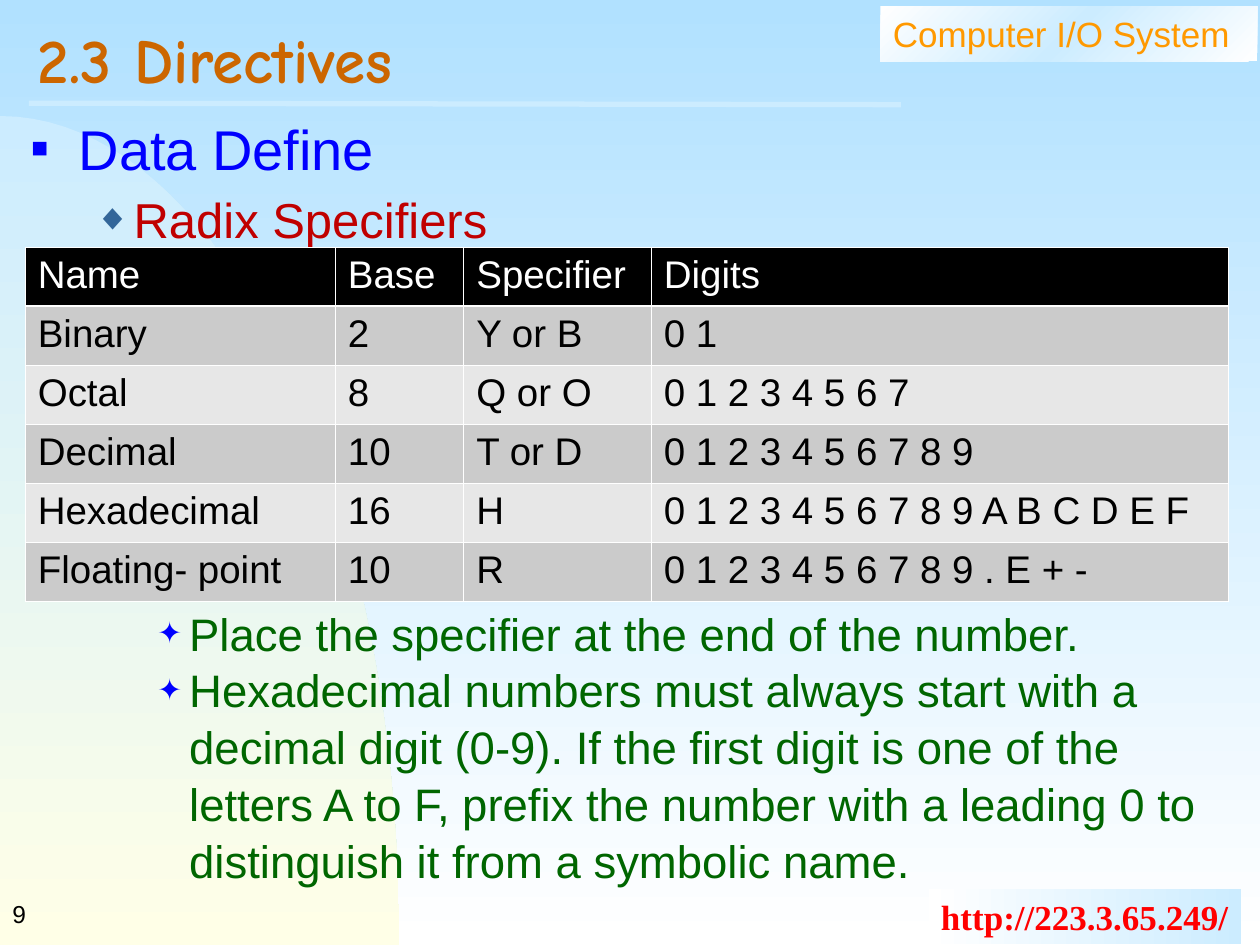
import pptx
import pptx.dml.color
import pptx.enum.shapes
import pptx.enum.text
import pptx.oxml.ns
import pptx.util
from lxml import etree

Cm, Pt = pptx.util.Cm, pptx.util.Pt
qn = pptx.oxml.ns.qn
Anchor = pptx.enum.text.MSO_ANCHOR

HUES = {
    "sky": "B1E1FF", "white": "FFFFFF", "ice": "CCECFF", "cream": "FFFFE7",
    "orange": "FF9900", "rust": "CC6600", "red": "FF0000", "wine": "C00000",
    "blue": "0000FF", "steel": "336699", "green": "006600", "black": "000000",
    "dark": "CBCBCB", "light": "E7E7E7",
}
TITLE = "2.3 Directives"
COURSE = "Computer I/O System"
LINK = "http://223.3.65.249/"
PAGE = "9"
# level, text, size, hue, space before in points
POINTS = [
    (0, "Data Define", 32, "blue", 0),
    (1, "Radix Specifiers", 28, "wine", 3),
    (2, "Place the specifier at the end of the number.", 26, "green", 203),
    (2, "Hexadecimal numbers must always start with a decimal digit (0-9). "
        "If the first digit is one of the letters A to F, prefix the number "
        "with a leading 0 to distinguish it from a symbolic name.", 26, "green", 0),
]
# sign, hue, size in percent, left margin and hang in cm
MARKS = [
    ("■", "blue", 50, 0.95, 0.95),
    ("◆", "steel", 75, 2.06, 0.79),
    ("✦", "blue", 65, 3.18, 0.64),
]
ROWS = [
    ("Name", "Base", "Specifier", "Digits"),
    ("Binary", "2", "Y or B", "0 1"),
    ("Octal", "8", "Q or O", "0 1 2 3 4 5 6 7"),
    ("Decimal", "10", "T or D", "0 1 2 3 4 5 6 7 8 9"),
    ("Hexadecimal", "16", "H", "0 1 2 3 4 5 6 7 8 9 A B C D E F"),
    ("Floating- point", "10", "R", "0 1 2 3 4 5 6 7 8 9 . E + -"),
]
WIDTHS = [6.25, 2.59, 3.78, 11.63]
ROW_HIGH = 1.19


def tint(name):
    return pptx.dml.color.RGBColor.from_string(HUES[name])


def add(parent, tag, **attrs):
    return etree.SubElement(parent, qn(tag), **attrs)


def blend(fill, root, names, angle):
    """Fill with evenly spaced colours; the angle runs clockwise."""
    fill.gradient()
    fill.gradient_angle = -angle % 360
    stops = root.find(".//" + qn("a:gsLst"))
    for stop in list(stops):
        stops.remove(stop)
    for i, name in enumerate(names):
        stop = add(stops, "a:gs", pos=str(100000 * i // (len(names) - 1)))
        add(stop, "a:srgbClr", val=HUES[name])


def style(para, size, hue, face="Arial", bold=False):
    font = para.font
    font.size, font.name, font.bold = Pt(size), face, bold
    font.color.rgb = tint(hue)


def place(shape, left, top, width, height):
    shape.left, shape.top = Cm(left), Cm(top)
    shape.width, shape.height = Cm(width), Cm(height)


def write(shape, text, size, hue, face="Arial", bold=False, wrap=True,
          anchor=Anchor.TOP):
    frame = shape.text_frame
    frame.text = text
    frame.word_wrap = wrap
    frame.auto_size = pptx.enum.text.MSO_AUTO_SIZE.NONE
    frame.vertical_anchor = anchor
    para = frame.paragraphs[0]
    para.alignment = pptx.enum.text.PP_ALIGN.LEFT
    style(para, size, hue, face, bold)
    return para


def draw_hill(shapes):
    """Draw the curved corner as a sampled cubic curve."""
    curve = [(0, 2.34), (4.45, 2.34), (8.05, 9.83), (8.05, 19.05)]
    steps = 40
    spots = []
    for i in range(1, steps + 1):
        t = i / steps
        parts = [(1 - t) ** 3, 3 * t * (1 - t) ** 2, 3 * t * t * (1 - t), t ** 3]
        spots.append(tuple(Cm(sum(p * c[k] for p, c in zip(parts, curve)))
                           for k in (0, 1)))
    pen = shapes.build_freeform(Cm(0), Cm(2.34))
    pen.add_line_segments(spots + [(Cm(0), Cm(19.05))], close=True)
    hill = pen.convert_to_shape()
    hill.shadow.inherit = False
    hill.line.fill.background()
    blend(hill.fill, hill._element, ["ice", "cream"], 90)


def draw_band(shapes, spot, names, angle):
    band = shapes.add_shape(pptx.enum.shapes.MSO_SHAPE.RECTANGLE,
                            *map(Cm, spot))
    band.shadow.inherit = False
    band.line.fill.background()
    blend(band.fill, band._element, names, angle)
    return band


def draw_rule(shapes):
    rule = shapes.add_connector(pptx.enum.shapes.MSO_CONNECTOR.STRAIGHT,
                                Cm(0.58), Cm(2.08), Cm(18.16), Cm(2.11))
    rule.line.color.rgb = tint("ice")
    rule.line.width = Pt(3)
    add(rule._element.spPr, "a:effectLst")


def fill_list(body):
    frame = body.text_frame
    frame.auto_size = pptx.enum.text.MSO_AUTO_SIZE.NONE
    frame.vertical_anchor = Anchor.TOP
    for i, (level, text, size, hue, gap) in enumerate(POINTS):
        para = frame.add_paragraph() if i else frame.paragraphs[0]
        para.text, para.level = text, level
        para.space_before, para.space_after = Pt(gap), Pt(0)
        para.line_spacing = 1.04
        sign, ink, share, left, hang = MARKS[level]
        props = para._p.get_or_add_pPr()
        props.set("marL", str(Cm(left)))
        props.set("indent", str(-Cm(hang)))
        add(add(props, "a:buClr"), "a:srgbClr", val=HUES[ink])
        add(props, "a:buSzPct", val=str(share * 1000))
        add(props, "a:buFont", typeface="Arial")
        add(props, "a:buChar", char=sign)
        style(para, size, hue)


def edge(cell, row):
    """Give a cell white borders, thick between the head and the first row."""
    props = cell._tc.get_or_add_tcPr()
    thick = {0: "a:lnB", 1: "a:lnT"}.get(row)
    for tag in ("a:lnL", "a:lnR", "a:lnT", "a:lnB"):
        line = add(props, tag, w=str(Pt(1.47 if tag == thick else 0.45)))
        add(add(line, "a:solidFill"), "a:srgbClr", val=HUES["white"])


def draw_table(shapes):
    frame = shapes.add_table(len(ROWS), len(WIDTHS), Cm(0.51), Cm(4.98),
                             Cm(sum(WIDTHS)), Cm(ROW_HIGH * len(ROWS)))
    table = frame.table
    table.first_row = table.horz_banding = False
    for col, width in zip(table.columns, WIDTHS):
        col.width = Cm(width)
    for r, row in enumerate(ROWS):
        table.rows[r].height = Cm(ROW_HIGH)
        ground = ("dark" if r % 2 else "light") if r else "black"
        for c, text in enumerate(row):
            cell = table.cell(r, c)
            cell.text = text
            edge(cell, r)
            cell.fill.solid()
            cell.fill.fore_color.rgb = tint(ground)
            style(cell.text_frame.paragraphs[0], 22, "black" if r else "white")


def main():
    deck = pptx.Presentation()
    deck.slide_width, deck.slide_height = Cm(25.4), Cm(19.05)
    slide = deck.slides.add_slide(deck.slide_layouts[1])
    shapes = slide.shapes
    title, body = shapes.title, slide.placeholders[1]
    blend(slide.background.fill, slide._element, ["sky", "white"], 90)

    draw_hill(shapes)
    band = draw_band(shapes, (17.75, 0.13, 7.6, 1.11),
                     ["white", "ice", "white"], 45)
    write(band, COURSE, 20, "orange")
    band = draw_band(shapes, (18.72, 17.93, 6.3, 1.11), ["white", "ice"], 0)
    write(band, LINK, 20, "red", "Times New Roman", True, False)
    draw_rule(shapes)

    for holder in (title, body):
        shapes._spTree.append(holder._element)
    place(title, 0.51, 0.38, 24.26, 1.96)
    para = write(title, TITLE, 36, "rust", "Comic Neue", True,
                 anchor=Anchor.MIDDLE)
    para.line_spacing = 0.7
    place(body, 0.38, 2.13, 24.38, 16.21)
    fill_list(body)

    number = shapes.add_textbox(Cm(0), Cm(17.78), Cm(5.28), Cm(1.27))
    write(number, PAGE, 14, "black", anchor=Anchor.MIDDLE)
    draw_table(shapes)
    deck.save("out.pptx")


if __name__ == "__main__":
    main()
